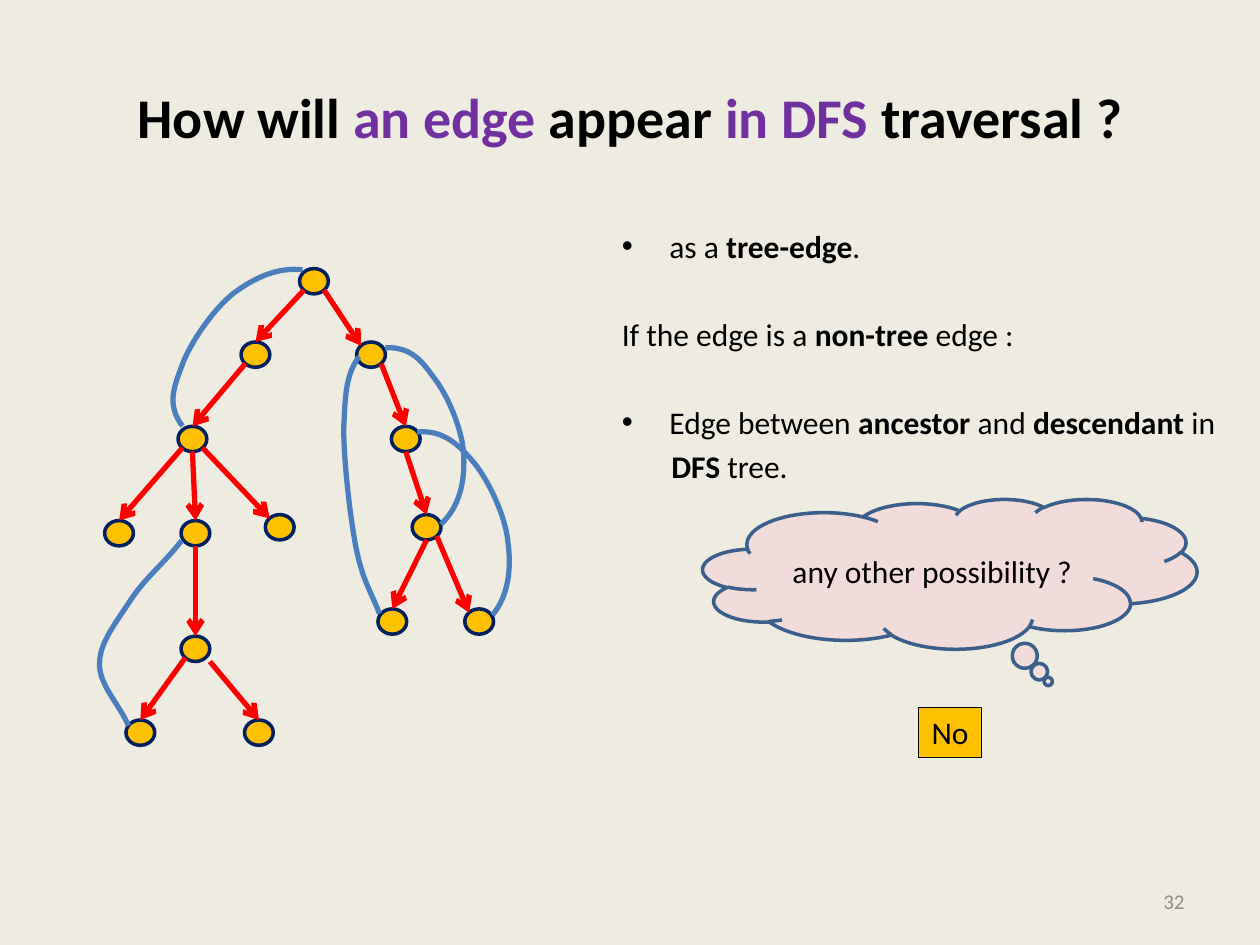
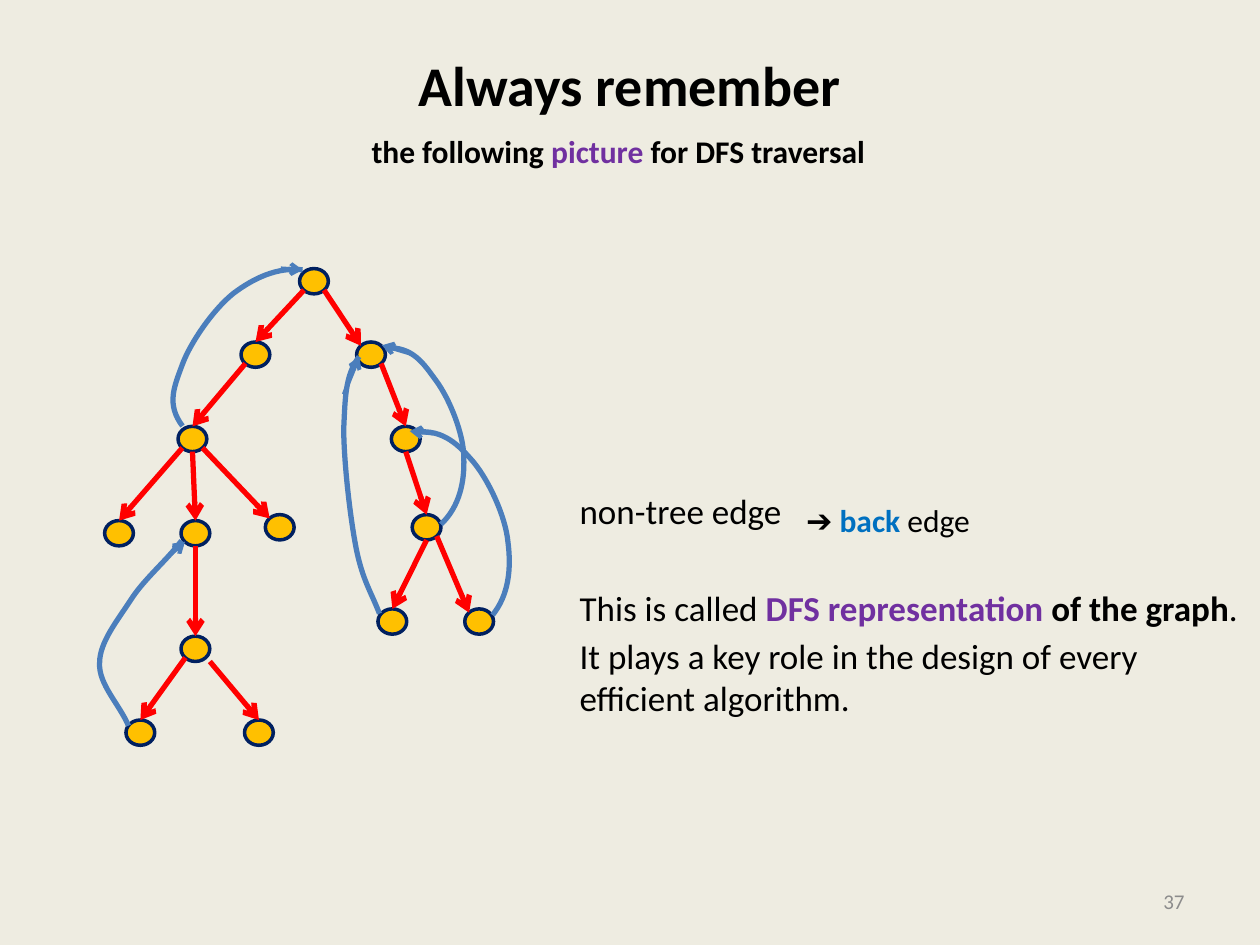
from lxml import etree
from pptx import Presentation
from pptx import util as u
from pptx.dml.color import RGBColor
from pptx.enum import shapes, text
from pptx.oxml import ns

FONT = "Calibri"
BLACK = RGBColor(0x00, 0x00, 0x00)
PAPER = RGBColor(0xEE, 0xEC, 0xE1)
PURPLE = RGBColor(0x70, 0x30, 0xA0)
BLUE = RGBColor(0x00, 0x70, 0xC0)
GREY = RGBColor(0x8C, 0x8C, 0x8C)
GOLD = RGBColor(0xFF, 0xC0, 0x00)
NAVY = RGBColor(0x00, 0x20, 0x60)
RED = RGBColor(0xFF, 0x00, 0x00)
BACK_EDGE = RGBColor(0x4B, 0x7E, 0xBC)
PINK = RGBColor(0xF2, 0xDC, 0xDB)
CLOUD_LINE = RGBColor(0x3A, 0x5F, 0x8C)

TITLE_BOX = (1.27, 0.76, 22.86, 3.18)
NUMBER_BOX = (18.21, 17.65, 5.92, 1.02)
TREE_ORIGIN = (2, 5)
NODE_W, NODE_H = 0.58, 0.51
LINE_GAP = 3.6
HANGING = 0.96

NODES = {
    "root": (4.33, 0.67), "left": (3.15, 2.15), "right": (5.48, 2.15),
    "fork": (1.88, 3.85), "fork left": (0.4, 5.75), "fork middle": (1.94, 5.75),
    "fork right": (3.64, 5.63), "hub": (1.94, 8.08), "hub left": (0.83, 9.77),
    "hub right": (3.22, 9.77), "chain": (6.18, 3.85), "split": (6.6, 5.63),
    "split left": (5.91, 7.53), "split right": (7.66, 7.53),
}
SITES = {"top": (0, -0.5), "top left": (-0.35, -0.35), "bottom": (0, 0.5),
         "bottom left": (-0.35, 0.35), "bottom right": (0.35, 0.35),
         "lower corner": (0.5, 0.5)}
TREE_EDGES = [
    ("root", "bottom left", "left", "top"),
    ("left", "bottom left", "fork", "top"),
    ("fork", "bottom left", "fork left", "top"),
    ("fork", "bottom", "fork middle", "top"),
    ("fork", "bottom right", "fork right", "top left"),
    ("fork middle", "bottom", "hub", "top"),
    ("hub", "lower corner", "hub right", "top"),
    ("hub", "bottom left", "hub left", "top"),
    ("split", "bottom right", "split right", "top left"),
    ("right", "bottom right", "chain", "top"),
    ("chain", "bottom", "split", "top"),
    ("root", "bottom right", "right", "top left"),
    ("split", "bottom", "split left", "top"),
]
NON_TREE_EDGES = [
    [(6.89, 5.57), (7.27, 5.21), (7.37, 4.7), (7.35, 4.22), (7.35, 3.76),
     (7.07, 3.05), (6.79, 2.67), (6.53, 2.32), (6.33, 1.99), (5.77, 2.01)],
    [(5.65, 7.37), (5.47, 6.91), (5.32, 6.71), (5.19, 6.1), (5.06, 5.46),
     (4.93, 4.3), (4.93, 3.64), (4.96, 3), (4.96, 2.57), (5.24, 2.19)],
    [(0.59, 9.63), (0.41, 9.2), (-0.02, 8.79), (0.01, 8.36), (0.01, 7.95),
     (0.36, 7.52), (0.64, 7.09), (0.9, 6.68), (1.38, 6.28), (1.66, 5.9)],
    [(4.1, 0.44), (3.59, 0.38), (3.11, 0.61), (2.7, 0.92), (2.29, 1.25),
     (1.84, 1.91), (1.68, 2.34), (1.51, 2.8), (1.35, 3.15), (1.68, 3.59)],
    [(7.93, 7.4), (8.26, 6.99), (8.31, 6.46), (8.24, 5.92), (8.19, 5.41),
     (7.86, 4.7), (7.55, 4.32), (7.25, 3.97), (6.94, 3.66), (6.41, 3.71)],
]
BACK_ARROWS = [
    ((6.31, 2.14), (5.7, 1.96)), ((4.93, 2.95), (5.24, 2.19)),
    ((1.43, 6.18), (1.73, 5.92)), ((3.66, 0.41), (4.1, 0.44)),
    ((6.74, 3.74), (6.26, 3.69)),
]


def cm(lengths):
    """Turn numbers into centimetre lengths."""
    return [u.Cm(length) for length in lengths]


def on_slide(point):
    """Move a point of the tree to its place on the slide."""
    return cm(part + start for part, start in zip(point, TREE_ORIGIN))


def write(paragraph, runs, size, color=BLACK, bold=False):
    """Fill a paragraph with runs of (text, bold, colour), the last two optional."""
    paragraph.font.name = FONT
    paragraph.font.size = u.Pt(size)
    paragraph.font.color.rgb = color
    paragraph.font.bold = bold
    for wording, *emphasis in runs:
        run = paragraph.add_run()
        run.text = wording
        if emphasis:
            run.font.bold = emphasis[0]
        if len(emphasis) > 1:
            run.font.color.rgb = emphasis[1]


def outline(shape, color, width):
    """Give a shape a plain line and no shadow."""
    shape.line.color.rgb = color
    shape.line.width = u.Pt(width)
    shape.shadow.inherit = False


def add_filled(parent, kind, box, fill, line, width):
    """Add a filled preset shape."""
    shape = parent.add_shape(kind, *box)
    shape.fill.solid()
    shape.fill.fore_color.rgb = fill
    outline(shape, line, width)
    return shape


def add_arrow(parent, start, end, color, width):
    """Add an arrow between two points of the tree."""
    arrow = parent.add_connector(shapes.MSO_CONNECTOR.STRAIGHT, *on_slide(start), *on_slide(end))
    arrow.line.color.rgb = color
    arrow.line.width = u.Pt(width)
    properties = arrow.element.spPr
    etree.SubElement(properties.find(ns.qn("a:ln")), ns.qn("a:tailEnd"), type="arrow")
    etree.SubElement(properties, ns.qn("a:effectLst"))


def site_point(node, site):
    """Find a connection site on the rim of a node."""
    (x, y), (across, down) = NODES[node], SITES[site]
    return x + across * NODE_W, y + down * NODE_H


def add_curve(parent, controls):
    """Draw a non-tree edge as cubic curves, three control points to each."""
    builder = parent.build_freeform(*on_slide(controls[0]))
    builder.add_line_segments([on_slide(point) for point in controls[1:]], close=False)
    curve = builder.convert_to_shape()
    segments = list(curve.element.iter(ns.qn("a:lnTo")))
    for first in range(0, len(segments), 3):
        cubic = etree.Element(ns.qn("a:cubicBezTo"))
        segments[first].addprevious(cubic)
        for segment in segments[first:first + 3]:
            cubic.append(segment[0])
            segment.getparent().remove(segment)
    curve.fill.background()
    outline(curve, BACK_EDGE, 3)


def add_tree(slide):
    """Draw the nodes and tree edges of the DFS tree."""
    tree = slide.shapes.add_group_shape().shapes
    for x, y in NODES.values():
        corner = on_slide((x - NODE_W / 2, y - NODE_H / 2))
        add_filled(tree, shapes.MSO_SHAPE.OVAL, (*corner, *cm((NODE_W, NODE_H))), GOLD, NAVY, 2)
    for parent, start, child, end in TREE_EDGES:
        add_arrow(tree, site_point(parent, start), site_point(child, end), RED, 3)


def add_back_edges(slide):
    """Draw each non-tree edge grouped with its arrowhead."""
    for controls, (start, end) in zip(reversed(NON_TREE_EDGES), reversed(BACK_ARROWS)):
        back_edge = slide.shapes.add_group_shape().shapes
        add_curve(back_edge, controls)
        add_arrow(back_edge, start, end, BACK_EDGE, 2.25)


def place(placeholder, box):
    """Move a placeholder to a box and keep its text at full size."""
    placeholder.left, placeholder.top, placeholder.width, placeholder.height = cm(box)
    placeholder.text_frame.auto_size = text.MSO_AUTO_SIZE.NONE


def add_title(slide, runs):
    """Fill the title placeholder."""
    place(slide.shapes.title, TITLE_BOX)
    frame = slide.shapes.title.text_frame
    frame.vertical_anchor = text.MSO_ANCHOR.MIDDLE
    frame.paragraphs[0].alignment = text.PP_ALIGN.CENTER
    write(frame.paragraphs[0], runs, 32, bold=True)
    return frame


def add_body(slide, box, size, items):
    """Fill the body placeholder with items of (runs, space before, left, bulleted)."""
    body = slide.placeholders[1]
    place(body, box)
    frame = body.text_frame
    for index, (runs, before, left, bulleted) in enumerate(items):
        paragraph = frame.add_paragraph() if index else frame.paragraphs[0]
        write(paragraph, runs, size)
        paragraph.space_before = u.Pt(before)
        properties = paragraph._p.get_or_add_pPr()
        properties.set("marL", str(u.Cm(left)))
        properties.set("indent", str(-u.Cm(left) if bulleted else 0))
        if not bulleted:
            properties.find(ns.qn("a:spcBef")).addnext(etree.Element(ns.qn("a:buNone")))
    return frame


def add_label(slide, box, runs, size=18, color=BLACK, bold=False, wrap=False):
    """Add a text box of one paragraph."""
    frame = slide.shapes.add_textbox(*cm(box)).text_frame
    frame.word_wrap = wrap
    write(frame.paragraphs[0], runs, size, color, bold)
    return frame


def add_number(slide, number):
    """Write the page number at the lower right."""
    frame = add_label(slide, NUMBER_BOX, [(number,)], 12, GREY, wrap=True)
    frame.vertical_anchor = text.MSO_ANCHOR.MIDDLE
    frame.paragraphs[0].alignment = text.PP_ALIGN.RIGHT


def add_question(slide, box):
    """Add the thought cloud and the answer below it."""
    left, top, width, height = box
    answer = add_filled(slide.shapes, shapes.MSO_SHAPE.RECTANGLE,
                        cm((left + 4.35, top + 4.2, 1.27, 1.01)), GOLD, BLACK, 0.75)
    cloud = add_filled(slide.shapes, shapes.MSO_SHAPE.CLOUD_CALLOUT, cm(box), PINK, CLOUD_LINE, 2)
    cloud.adjustments[0], cloud.adjustments[1] = 0.199, 0.718
    for shape, wording in ((answer, "No"), (cloud, "any other possibility ?")):
        frame = shape.text_frame
        frame.word_wrap = shape is cloud
        frame.vertical_anchor = text.MSO_ANCHOR.MIDDLE
        frame.paragraphs[0].alignment = text.PP_ALIGN.CENTER
        write(frame.paragraphs[0], [(wording,)], 18)


def build_edge_slide(slide):
    """Show how an edge may appear in the traversal."""
    add_title(slide, [("How will",), (" an edge ", True, PURPLE), ("appear",),
                      (" in DFS ", True, PURPLE), ("traversal ?",)])
    add_body(slide, (12.28, 4.45, 13.12, 12.57), 18, [
        ([("as a ",), ("tree-edge", True), (".",)], LINE_GAP, HANGING, True),
        ([("If the edge is a ",), ("non-tree", True), (" edge :",)], 28.6, 0, False),
        ([("Edge between ",), ("ancestor", True), (" and ",), ("descendant", True), (" in",)],
         28.6, HANGING, True),
        ([("DFS", True), (" tree.",)], LINE_GAP, 1, False),
    ])
    add_number(slide, "32")
    add_tree(slide)
    for controls in NON_TREE_EDGES:
        add_curve(slide.shapes, controls)
    add_question(slide, (14.17, 10.06, 9.96, 3.02))


def build_summary_slide(slide):
    """Show the DFS representation with its back edges."""
    title = add_title(slide, [("Always remember",)])
    title.margin_bottom = u.Cm(1.45)
    body = add_body(slide, (11.43, 4.45, 13.97, 12.57), 20, [
        ([("non-tree edge",)], LINE_GAP, 0, False),
        ([("This is called ",), ("DFS representation ", True, PURPLE),
          ("of the graph", True), (".",)], 31.7, 0, False),
        ([("It plays a key role in the design of every efficient algorithm.",)],
         LINE_GAP, 0, False),
    ])
    body.margin_top = u.Cm(5.41)
    add_number(slide, "37")
    add_tree(slide)
    add_label(slide, (7.24, 2.54, 10.54, 1.02),
              [("the following ",), ("picture", True, PURPLE), (" for DFS traversal",)], bold=True)
    add_back_edges(slide)
    add_label(slide, (16, 9.98, 4.01, 1.02), [("➔ ",), ("back ", True, BLUE), ("edge",)])


def main():
    """Build both slides and save them."""
    deck = Presentation()
    deck.slide_width, deck.slide_height = cm((25.4, 19.05))
    backdrop = deck.slide_master.background.fill
    backdrop.solid()
    backdrop.fore_color.rgb = PAPER
    for build in (build_edge_slide, build_summary_slide):
        build(deck.slides.add_slide(deck.slide_layouts[1]))
    deck.save("out.pptx")


if __name__ == "__main__":
    main()
